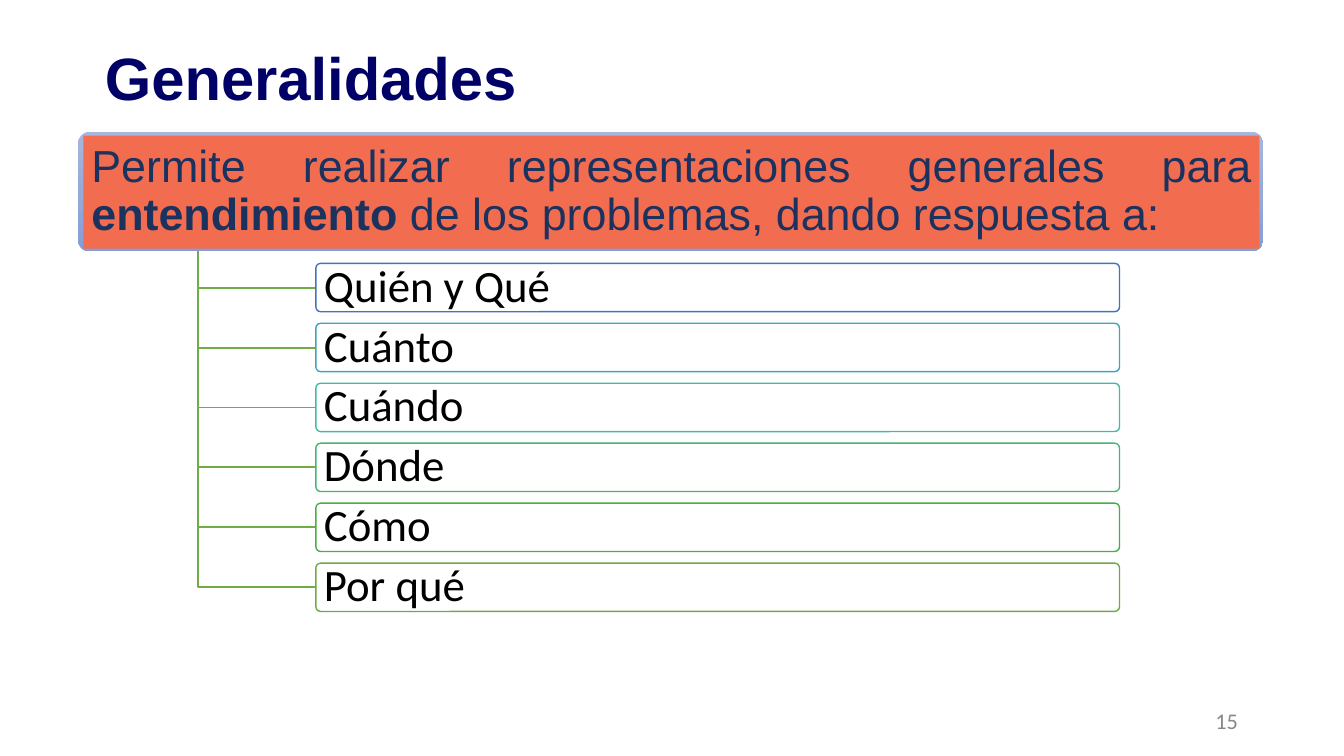
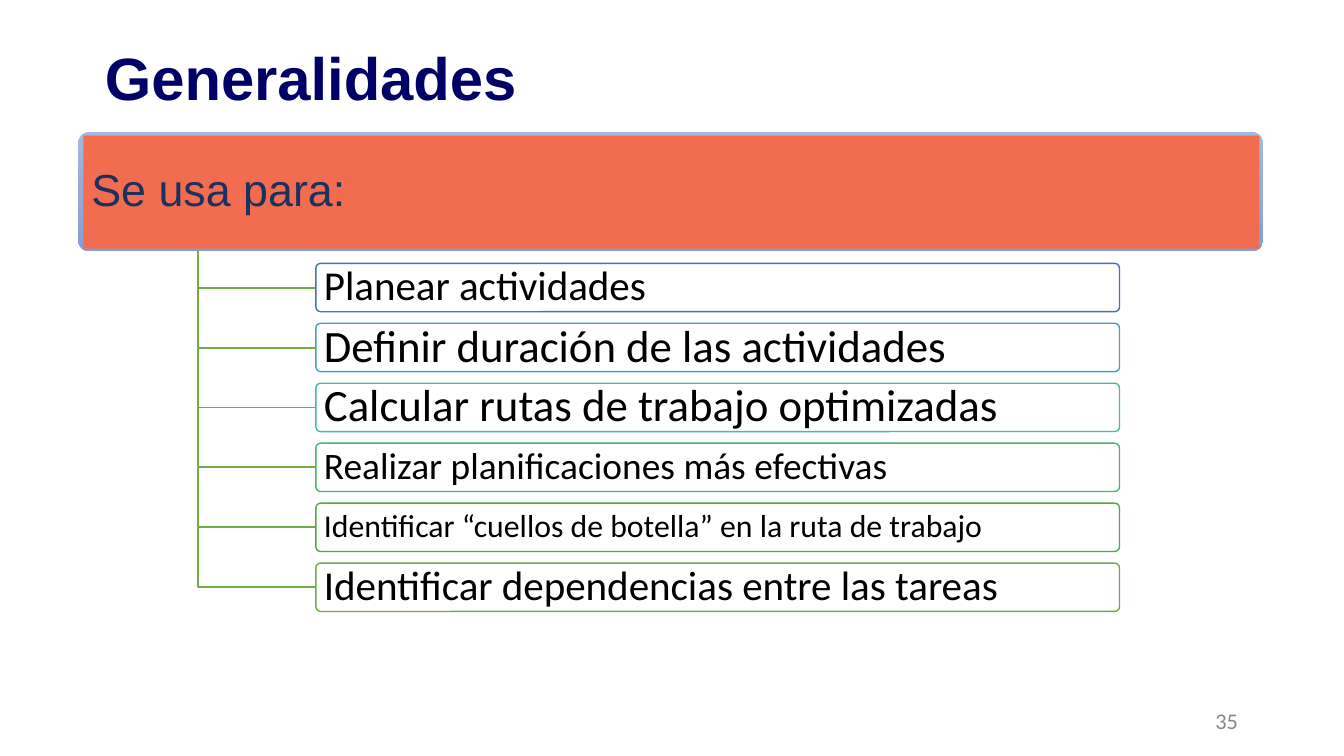
import lxml.etree
import pptx
import pptx.dml.color
import pptx.enum.shapes
import pptx.enum.text
import pptx.oxml.ns
import pptx.util

COLORS = {
    "title": "000066",
    "banner": "F26C4F",
    "banner_text": "1B325F",
    "branch": "70AD47",
    "item": "FFFFFF",
    "item_text": "000000",
    "number": "888888",
}
BANNER_GRADIENT = {0: "A6B6DE", 50: "97AAD8", 100: "859CD6"}
ITEM_OUTLINES = ["4372C3", "43A2BE", "43BAA5", "44B573", "46AF46", "6FAA47"]
HEADING_FONT, BODY_FONT = "Arial", "Calibri"

# The grid has square cells, 100 to the width of the slide.
GRID_COLUMNS = 100
BANNER = (5.8, 9.8, 88.2, 8.9)
BANNER_LEFT, BANNER_TOP, BANNER_WIDTH, BANNER_HEIGHT = BANNER
BANNER_BOTTOM = BANNER_TOP + BANNER_HEIGHT
TRUNK_LEFT = 14.7
ITEM_LEFT, ITEM_TOP, ITEM_WIDTH, ITEM_HEIGHT = 23.5, 19.6, 59.8, 3.6
ITEM_STEP = 4.46

SLIDES = [
    {
        "number": "15",
        "banner": [
            ("Permite realizar representaciones generales para ", False),
            ("entendimiento ", True),
            ("de los problemas, dando respuesta a:", False),
        ],
        "items": [
            ("Quién y Qué", 24),
            ("Cuánto", 24),
            ("Cuándo", 24),
            ("Dónde", 24),
            ("Cómo", 24),
            ("Por qué", 24),
        ],
    },
    {
        "number": "35",
        "banner": [("Se usa para:", False)],
        "items": [
            ("Planear actividades", 22),
            ("Definir duración de las actividades", 24),
            ("Calcular rutas de trabajo optimizadas", 24),
            ("Realizar planificaciones más efectivas", 20),
            ("Identificar “cuellos de botella” en la ruta de trabajo", 17),
            ("Identificar dependencias entre las tareas", 22),
        ],
    },
]


def rgb(color):
    return pptx.dml.color.RGBColor.from_string(color)


class Deck:
    """Holds the presentation, its style and the slide being filled."""

    def __init__(self):
        self.presentation = pptx.Presentation()
        self.presentation.slide_width = pptx.util.Inches(10)
        self.presentation.slide_height = pptx.util.Inches(5.625)
        self.cell = self.presentation.slide_width / GRID_COLUMNS
        self.slide = None

    def grid(self, *cells):
        return [round(count * self.cell) for count in cells]

    def new_slide(self):
        layout = self.presentation.slide_layouts.get_by_name("Title Only")
        self.slide = self.presentation.slides.add_slide(layout)

    def set_text(self, shape, runs, size, font, color, align, margins, spacing=0.9, bold=None):
        """Fill a shape with one paragraph; runs are (text, bold) pairs."""
        frame = shape.text_frame
        frame.word_wrap = True
        frame.auto_size = pptx.enum.text.MSO_AUTO_SIZE.NONE
        frame.vertical_anchor = pptx.enum.text.MSO_ANCHOR.MIDDLE
        side, edge = self.grid(*margins)
        frame.margin_left = frame.margin_right = side
        frame.margin_top = frame.margin_bottom = edge
        paragraph = frame.paragraphs[0]
        paragraph.alignment = align
        paragraph.line_spacing = spacing
        paragraph.font.size = pptx.util.Pt(size)
        paragraph.font.name = font
        paragraph.font.bold = bold
        paragraph.font.color.rgb = rgb(color)
        for text, emphasis in runs:
            run = paragraph.add_run()
            run.text = text
            if emphasis:
                run.font.bold = True

    def title(self, text):
        title = self.slide.shapes.title
        title.left, title.top, title.width, title.height = self.grid(6.8, 0.6, 86.2, 10.9)
        self.set_text(title, [(text, False)], 32, HEADING_FONT, COLORS["title"],
                      pptx.enum.text.PP_ALIGN.LEFT, (1, 0.5), bold=True)

    def text(self, place, text, size, color, align, margins, spacing=0.9):
        box = self.slide.shapes.add_textbox(*self.grid(*place))
        self.set_text(box, [(text, False)], size, BODY_FONT, color, align, margins, spacing)

    def panel(self, place, rounded=True):
        kinds = pptx.enum.shapes.MSO_SHAPE
        kind = kinds.ROUNDED_RECTANGLE if rounded else kinds.RECTANGLE
        shape = self.slide.shapes.add_shape(kind, *self.grid(*place))
        if rounded:
            shape.adjustments[0] = 0.1
        shape.shadow.inherit = False
        shape.line.fill.background()
        return shape

    def outline(self, shape, color, width):
        shape.line.color.rgb = rgb(color)
        shape.line.width = pptx.util.Pt(width)

    def gradient(self, shape, stops):
        """Fill from top to bottom with stops given as {percent: color}."""
        qualified = pptx.oxml.ns.qn
        shape.fill.gradient()
        shape.fill.gradient_angle = 270
        stop_list = shape.element.spPr.find(".//" + qualified("a:gsLst"))
        stop_list.clear()
        for percent, color in stops.items():
            stop = lxml.etree.SubElement(stop_list, qualified("a:gs"), pos=str(percent * 1000))
            lxml.etree.SubElement(stop, qualified("a:srgbClr"), val=color)

    def banner(self, runs):
        self.gradient(self.panel(BANNER), BANNER_GRADIENT)
        face = self.panel((BANNER_LEFT + 0.4, BANNER_TOP + 0.3,
                           BANNER_WIDTH - 0.7, BANNER_HEIGHT - 0.5), rounded=False)
        face.fill.solid()
        face.fill.fore_color.rgb = rgb(COLORS["banner"])
        self.set_text(face, runs, 24, HEADING_FONT, COLORS["banner_text"],
                      pptx.enum.text.PP_ALIGN.JUSTIFY, (0.6, 0.4))

    def branch(self, bottom):
        """Draw an elbow from the banner down to a row and across to its item."""
        start, *corners = [self.grid(*point) for point in (
            (TRUNK_LEFT, BANNER_BOTTOM), (TRUNK_LEFT, bottom), (ITEM_LEFT, bottom))]
        builder = self.slide.shapes.build_freeform(*start)
        builder.add_line_segments(corners, close=False)
        elbow = builder.convert_to_shape()
        elbow.shadow.inherit = False
        elbow.fill.background()
        self.outline(elbow, COLORS["branch"], 1)

    def item(self, top, text, size, outline):
        box = self.panel((ITEM_LEFT, top, ITEM_WIDTH, ITEM_HEIGHT))
        box.fill.solid()
        box.fill.fore_color.rgb = rgb(COLORS["item"])
        color = box.element.spPr.find(".//" + pptx.oxml.ns.qn("a:srgbClr"))
        lxml.etree.SubElement(color, pptx.oxml.ns.qn("a:alpha"), val="89000")
        self.outline(box, outline, 0.75)
        self.text((ITEM_LEFT + 0.1, top + 0.1, ITEM_WIDTH - 0.3, ITEM_HEIGHT - 0.2),
                  text, size, COLORS["item_text"],
                  pptx.enum.text.PP_ALIGN.JUSTIFY, (0.5, 0.3))

    def tree(self, items):
        for row, ((text, size), outline) in enumerate(zip(items, ITEM_OUTLINES)):
            top = ITEM_TOP + row * ITEM_STEP
            self.branch(top + ITEM_HEIGHT / 2)
            self.item(top, text, size, outline)

    def page_number(self, number):
        self.text((70.6, 52.1, 22.5, 3), number, 12, COLORS["number"],
                  pptx.enum.text.PP_ALIGN.RIGHT, (1, 0.5), spacing=1.0)


def main():
    deck = Deck()
    for content in SLIDES:
        deck.new_slide()
        deck.title("Generalidades")
        deck.page_number(content["number"])
        deck.banner(content["banner"])
        deck.tree(content["items"])
    deck.presentation.save("out.pptx")


if __name__ == "__main__":
    main()
